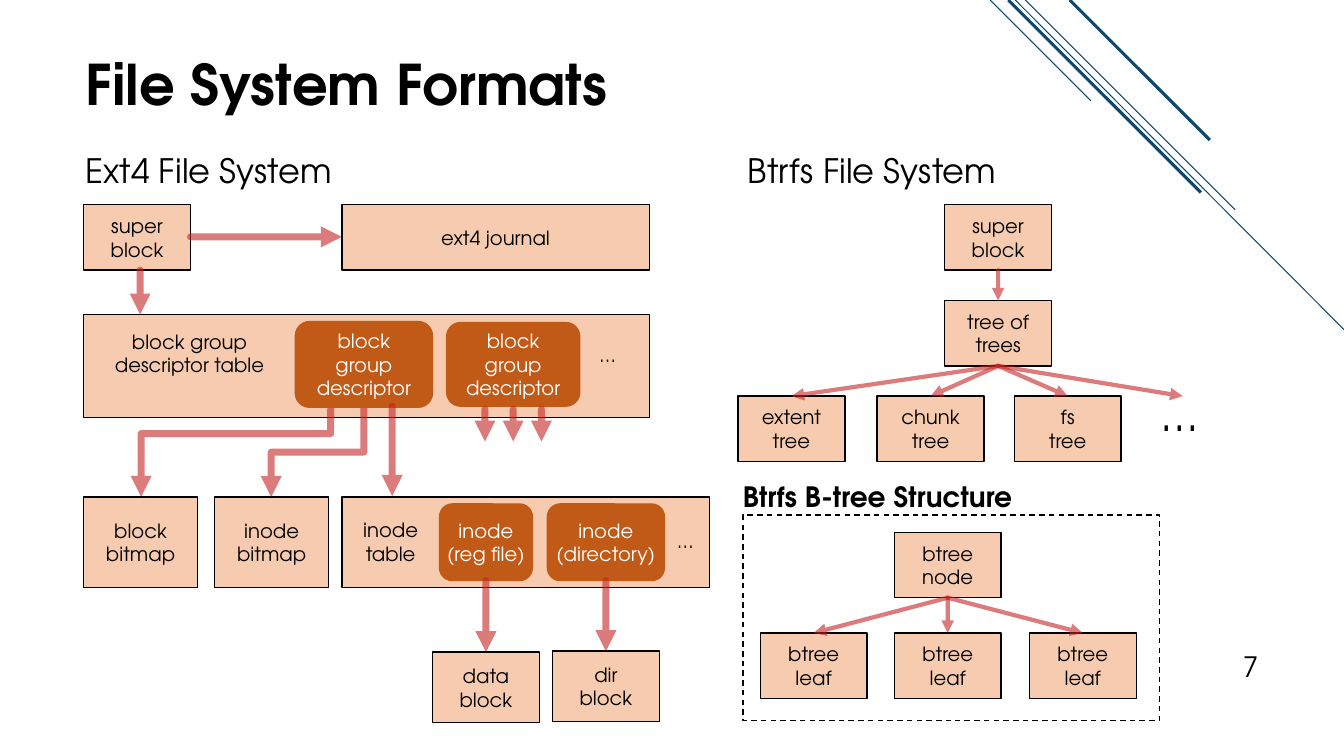
"""Builds the slide that compares the Ext4 and Btrfs on-disk formats."""
from lxml.etree import SubElement
from pptx import Presentation
from pptx.dml.color import RGBColor
from pptx.enum.dml import MSO_LINE
from pptx.enum.shapes import MSO_CONNECTOR as LINK, MSO_SHAPE as SHAPE
from pptx.enum.text import MSO_ANCHOR as ANCHOR, PP_ALIGN as ALIGN
from pptx.oxml.ns import qn
from pptx.util import Inches, Pt

FONT = "TeX Gyre Adventor"
BLACK = RGBColor(0x00, 0x00, 0x00)
WHITE = RGBColor(0xFF, 0xFF, 0xFF)
NAVY = RGBColor(0x0F, 0x48, 0x6F)
PEACH = RGBColor(0xF6, 0xCB, 0xAF)
RUST = RGBColor(0xC1, 0x5A, 0x16)
RED = RGBColor(0xC6, 0x23, 0x24)

STRIPES = [
    (9.82, 0, 10.82, 1, 0.75),
    (10.07, 0, 13.33, 3.27, 0.75),
    (10.17, 0, 12.25, 2.08, 0.75),
    (10, 0, 11.91, 1.91, 2.25),
    (10.61, 0, 12, 1.39, 2.25),
]

TITLE = ("File System Formats", 0.75, 0, 9.33, 1.65)
PAGE_NUMBER = ("7", 11.33, 6.1, 1.25, 0.73)
HEADINGS = [
    ("Ext4 File System", 0.75, 1.44, 2.72, 0.5, 24, False),
    ("Btrfs File System", 7.32, 1.44, 2.72, 0.5, 24, False),
    ("Btrfs B-tree Structure", 7.27, 4.71, 3, 0.44, 20, True),
]
TABLE_LABELS = [
    ("block group descriptor table", 0.92, 3.2, 1.92, 0.61),
    ("inode table", 3.47, 5.09, 0.81, 0.57),
]
ELLIPSES = [(5.85, 3.35, 0.4, 0.3, 14), (6.62, 5.2, 0.4, 0.3, 14), (11.42, 3.79, 0.65, 0.64, 32)]

EXT4_BLOCKS = [
    ("super\nblock", 0.83, 2.03, 1.06, 0.65),
    ("ext4 journal", 3.39, 2.03, 3.05, 0.65),
    ("", 0.83, 3.12, 5.61, 1.02),
    ("block\nbitmap", 0.83, 4.93, 1.13, 0.9),
    ("inode\nbitmap", 2.13, 4.93, 1.13, 0.9),
    ("", 3.39, 4.93, 3.65, 0.9),
    ("data\nblock", 4.29, 6.47, 1.06, 0.7),
    ("dir\nblock", 5.48, 6.46, 1.06, 0.7),
]
DESCRIPTORS = [
    ("block group descriptor", 2.93, 3.19, 1.36, 0.85),
    ("block group descriptor", 4.43, 3.2, 1.32, 0.83),
]
INODES = [
    ("inode\n(reg file)", 4.36, 5, 0.92, 0.76),
    ("inode\n(directory)", 5.43, 5, 1.16, 0.76),
]
EXT4_ARROWS = [
    (1.39, 2.68, 1.39, 3.12),
    (1.89, 2.35, 3.39, 2.35),
    (3.89, 4.03, 3.89, 4.92),
    *[(x, 4.06, x, 4.38) for x in (4.81, 5.09, 5.37)],
    (4.82, 5.76, 4.82, 6.47),
    (6.01, 5.76, 6.01, 6.46),
]
EXT4_ELBOWS = [(3.28, 4.06, 1.4, 4.93, 0.278), (3.61, 4.04, 2.69, 4.93, 0.5)]

NODE_W, NODE_H = 1.06, 0.65
SUPER_BLOCK = ("super\nblock", 9.37, 2.03)
TREE_OF_TREES = ("tree of trees", 9.37, 2.98)
TREES = [("extent\ntree", 7.32, 3.93), ("chunk\ntree", 8.7, 3.93), ("fs\ntree", 10.06, 3.93)]
MORE_TREES = (11.73, 3.93)
BTREE_FRAME = (7.37, 5.11, 4.13, 2.04)
BTREE_NODE = ("btree node", 8.87, 5.28)
BTREE_LEAVES = [("btree leaf", x, 6.28) for x in (7.54, 8.87, 10.21)]

deck = Presentation()
deck.slide_width, deck.slide_height = Inches(13.33), Inches(7.5)
slide = deck.slides.add_slide(deck.slide_layouts[6])


def write(shape, text, size=14, color=BLACK, bold=False, align=ALIGN.CENTER,
          anchor=ANCHOR.MIDDLE, wrap=True):
    frame = shape.text_frame
    frame.word_wrap = wrap
    frame.vertical_anchor = anchor
    for i, words in enumerate(text.split("\n")):
        paragraph = frame.paragraphs[0] if i == 0 else frame.add_paragraph()
        paragraph.alignment = align
        run = paragraph.add_run()
        run.text = words
        run.font.name, run.font.size, run.font.bold = FONT, Pt(size), bold
        run.font.color.rgb = color


def label(text, x, y, w, h, **style):
    box = slide.shapes.add_textbox(*map(Inches, (x, y, w, h)))
    write(box, text, **style)


def block(text, x, y, w, h, kind=SHAPE.RECTANGLE, fill=PEACH, edge=BLACK, color=BLACK):
    shape = slide.shapes.add_shape(kind, *map(Inches, (x, y, w, h)))
    shape.shadow.inherit = False
    if fill is None:
        shape.fill.background()
    else:
        shape.fill.solid()
        shape.fill.fore_color.rgb = fill
    shape.line.color.rgb = edge
    shape.line.width = Pt(1)
    if text:
        write(shape, text, color=color)
    return shape


def rounded(*content):
    return block(*content, kind=SHAPE.ROUNDED_RECTANGLE, fill=RUST, edge=RUST, color=WHITE)


def line(x1, y1, x2, y2, width, color, kind=LINK.STRAIGHT):
    link = slide.shapes.add_connector(kind, *map(Inches, (x1, y1, x2, y2)))
    link.line.color.rgb = color
    link.line.width = Pt(width)
    SubElement(link._element.spPr, qn("a:effectLst"))
    return link


def arrow(x1, y1, x2, y2, width, kind=LINK.STRAIGHT):
    link = line(x1, y1, x2, y2, width, RED, kind)
    stroke = link.line._get_or_add_ln()
    stroke.set("cap", "rnd")
    SubElement(stroke.find(".//" + qn("a:srgbClr")), qn("a:alpha"), val="60000")
    SubElement(stroke, qn("a:tailEnd"), type="triangle")
    return link


def elbow(x1, y1, x2, y2, bend):
    mid_x, mid_y = (x1 + x2) / 2, (y1 + y2) / 2
    half_w, half_h = (y2 - y1) / 2, (x1 - x2) / 2
    link = arrow(mid_x - half_w, mid_y - half_h, mid_x + half_w, mid_y + half_h, 5, LINK.ELBOW)
    props = link._element.spPr
    props.find(qn("a:xfrm")).set("rot", str(90 * 60000))
    guides = props.find(qn("a:prstGeom")).find(qn("a:avLst"))
    SubElement(guides, qn("a:gd"), name="adj1", fmla=f"val {round(bend * 100000)}")


def node(text, x, y):
    block(text, x, y, NODE_W, NODE_H)


def fan(parent, tips):
    _, x, y = parent
    for tip in tips:
        arrow(x + NODE_W / 2, y + NODE_H, *tip, 3)


def tops(children):
    return [(x + NODE_W / 2, y) for _, x, y in children]


for *ends, width in STRIPES:
    line(*ends, width, NAVY)

label(*TITLE, size=40, bold=True, align=ALIGN.LEFT)
label(*PAGE_NUMBER, size=20, align=ALIGN.RIGHT, anchor=ANCHOR.BOTTOM)
for *heading, size, bold in HEADINGS:
    label(*heading, size=size, bold=bold, align=ALIGN.LEFT, anchor=ANCHOR.TOP)

for content in EXT4_BLOCKS:
    block(*content)
for content in TABLE_LABELS:
    label(*content)
for ends in EXT4_ELBOWS:
    elbow(*ends)
for content in DESCRIPTORS:
    rounded(*content)
for content in INODES:
    inode = rounded(*content)
    inode.text_frame.margin_left = inode.text_frame.margin_right = 0
for ends in EXT4_ARROWS:
    arrow(*ends, 5)

block("", *BTREE_FRAME, fill=None).line.dash_style = MSO_LINE.DASH
for content in (SUPER_BLOCK, TREE_OF_TREES, *TREES, BTREE_NODE, *BTREE_LEAVES):
    node(*content)
fan(SUPER_BLOCK, tops([TREE_OF_TREES]))
fan(TREE_OF_TREES, tops(TREES) + [MORE_TREES])
fan(BTREE_NODE, tops(BTREE_LEAVES))
for *place, size in ELLIPSES:
    label("…", *place, size=size, align=ALIGN.LEFT, anchor=ANCHOR.TOP, wrap=False)

deck.save("out.pptx")
